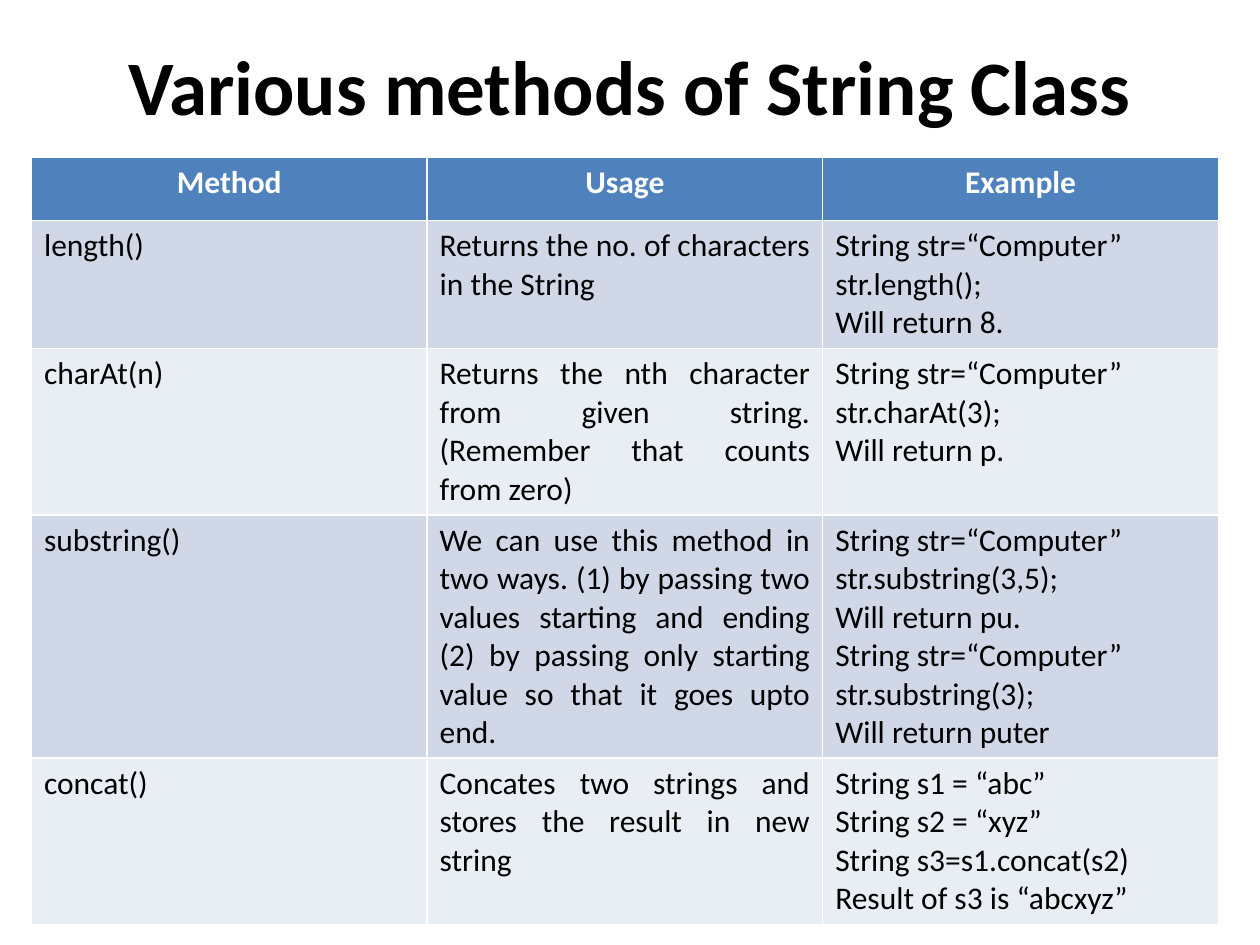
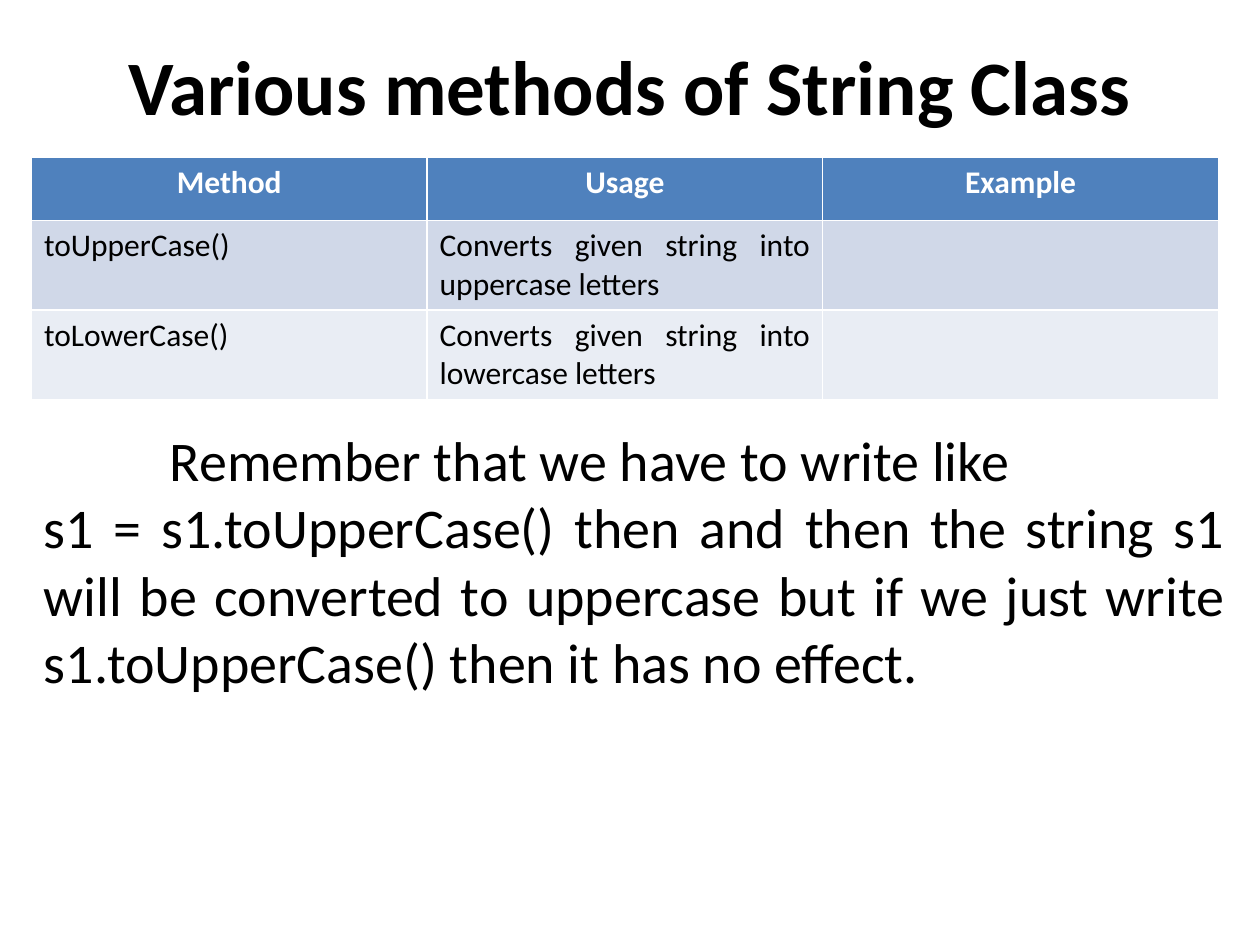
from dataclasses import dataclass
from typing import NamedTuple

from pptx import Presentation
from pptx.dml.color import RGBColor as Rgb
from pptx.enum.text import MSO_ANCHOR as Anchor
from pptx.enum.text import MSO_AUTO_SIZE as Fit
from pptx.enum.text import PP_ALIGN as Align
from pptx.util import Inches, Pt


@dataclass(frozen=True)
class Theme:
    font: str = "Calibri"
    ink: str = "000000"
    light: str = "FFFFFF"
    head: str = "4F81BD"
    bands: tuple[str, str] = ("D0D8E8", "E9EDF4")
    title: int = 44
    cell: int = 18
    note: int = 32


class Method(NamedTuple):
    name: str
    usage: str
    sample: tuple[str, ...] = ()


class Page(NamedTuple):
    methods: tuple[Method, ...]
    note: tuple[str, ...] = ()


THEME = Theme()
TITLE = "Various methods of String Class"
HEADS = ("Method", "Usage", "Example")
LEFT, TOP = Inches(0.25), Inches(1.25)
COL, ROW = Inches(3.14), Inches(0.5)
WORD = "String str=“Computer”"

PAGES = (
    Page((
        Method("length()", "Returns the no. of characters in the String",
               (WORD, "str.length();", "Will return 8.")),
        Method("charAt(n)",
               "Returns the nth character from given string. "
               "(Remember that counts from zero)",
               (WORD, "str.charAt(3);", "Will return p.")),
        Method("substring()",
               "We can use this method in two ways. (1) by passing two values "
               "starting and ending (2) by passing only starting value so that "
               "it goes upto end.",
               (WORD, "str.substring(3,5);", "Will return pu.",
                WORD, "str.substring(3);", "Will return puter")),
        Method("concat()",
               "Concates two strings and stores the result in new string",
               ("String s1 = “abc”", "String s2 = “xyz”",
                "String s3=s1.concat(s2)", "Result of s3 is “abcxyz”")),
    )),
    Page(
        (
            Method("toUpperCase()", "Converts given string into uppercase letters"),
            Method("toLowerCase()", "Converts given string into lowercase letters"),
        ),
        ("Remember that we have to write like",
         "s1 = s1.toUpperCase() then and then the string s1 will be converted to "
         "uppercase but if we just write s1.toUpperCase() then it has no effect."),
    ),
)


def write(frame, lines: tuple[str, ...], size: int, color: str = THEME.ink,
          bold: bool = False, align: Align = Align.JUSTIFY) -> None:
    """Put one paragraph per line into the frame, all in one style."""
    frame.text = "\n".join(lines)
    style = {"name": THEME.font, "size": Pt(size), "bold": bold}
    for para in frame.paragraphs:
        para.alignment = align
        for key, value in style.items():
            setattr(para.font, key, value)
        para.font.color.rgb = Rgb.from_string(color)


def place(shape, **box: float) -> None:
    for key, value in box.items():
        setattr(shape, key, Inches(value))


def add_title(slide) -> None:
    title = slide.shapes.title
    place(title, left=0, top=0.17, width=10, height=1)
    title.text_frame.vertical_anchor = Anchor.MIDDLE
    write(title.text_frame, (TITLE,), THEME.title, bold=True, align=Align.CENTER)


def fill_cell(cell, color: str) -> None:
    cell.fill.solid()
    cell.fill.fore_color.rgb = Rgb.from_string(color)


def add_grid(slide, methods: tuple[Method, ...]) -> None:
    rows, cols = len(methods) + 1, len(HEADS)
    grid = slide.shapes.add_table(rows, cols, LEFT, TOP, COL * cols, ROW * rows).table
    for cell, head in zip(grid.rows[0].cells, HEADS):
        fill_cell(cell, THEME.head)
        write(cell.text_frame, (head,), THEME.cell, THEME.light, True, Align.CENTER)
    for i, method in enumerate(methods):
        parts = ((method.name,), (method.usage,), method.sample)
        for cell, lines in zip(grid.rows[i + 1].cells, parts):
            fill_cell(cell, THEME.bands[i % 2])
            write(cell.text_frame, lines, THEME.cell)


def add_note(slide, lines: tuple[str, ...]) -> None:
    box = slide.shapes.add_textbox(LEFT, Inches(3.33), Inches(9.58), Inches(2.26))
    frame = box.text_frame
    frame.word_wrap = True
    frame.auto_size = Fit.SHAPE_TO_FIT_TEXT
    write(frame, lines, THEME.note)
    first = frame.paragraphs[0]._p.get_or_add_pPr()
    first.set("indent", str(Inches(1)))


def main() -> None:
    deck = Presentation()
    deck.slide_width, deck.slide_height = Inches(10), Inches(7.5)
    for page in PAGES:
        slide = deck.slides.add_slide(deck.slide_layouts[5])
        add_title(slide)
        add_grid(slide, page.methods)
        if page.note:
            add_note(slide, page.note)
    deck.save("out.pptx")


if __name__ == "__main__":
    main()
